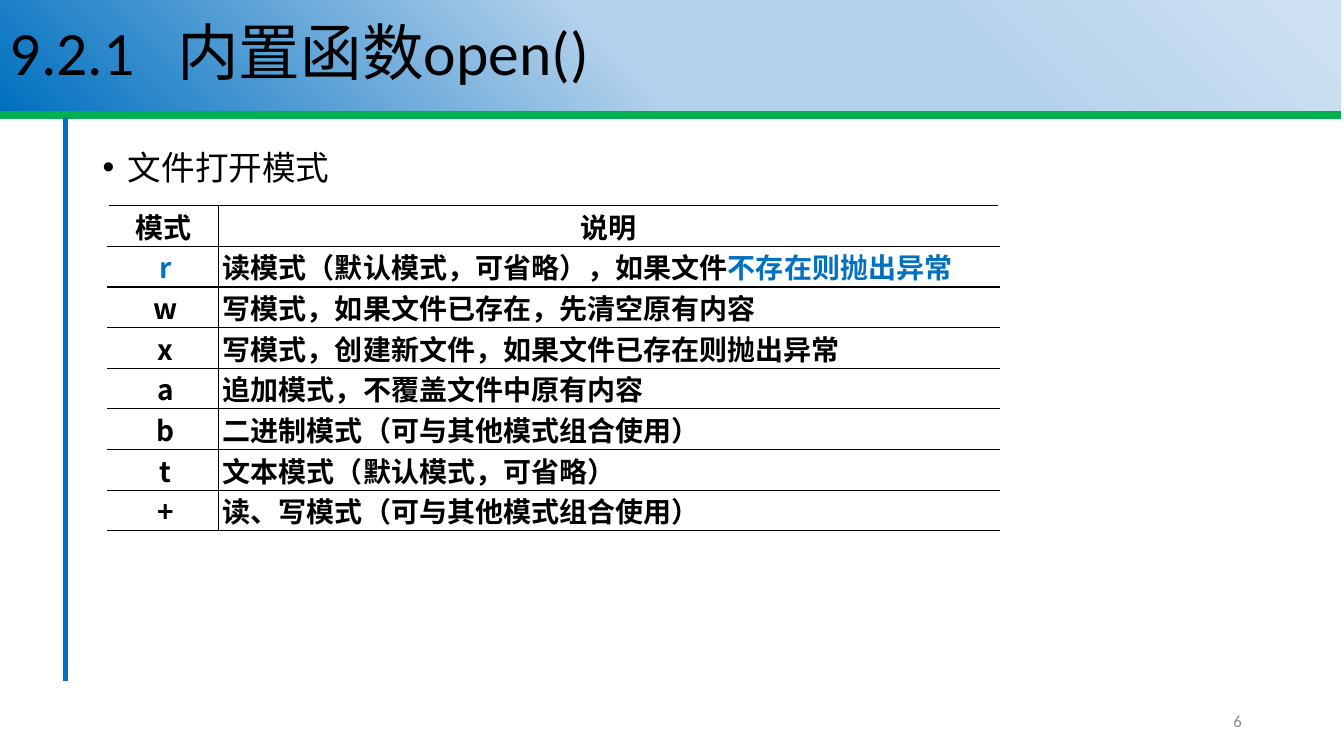
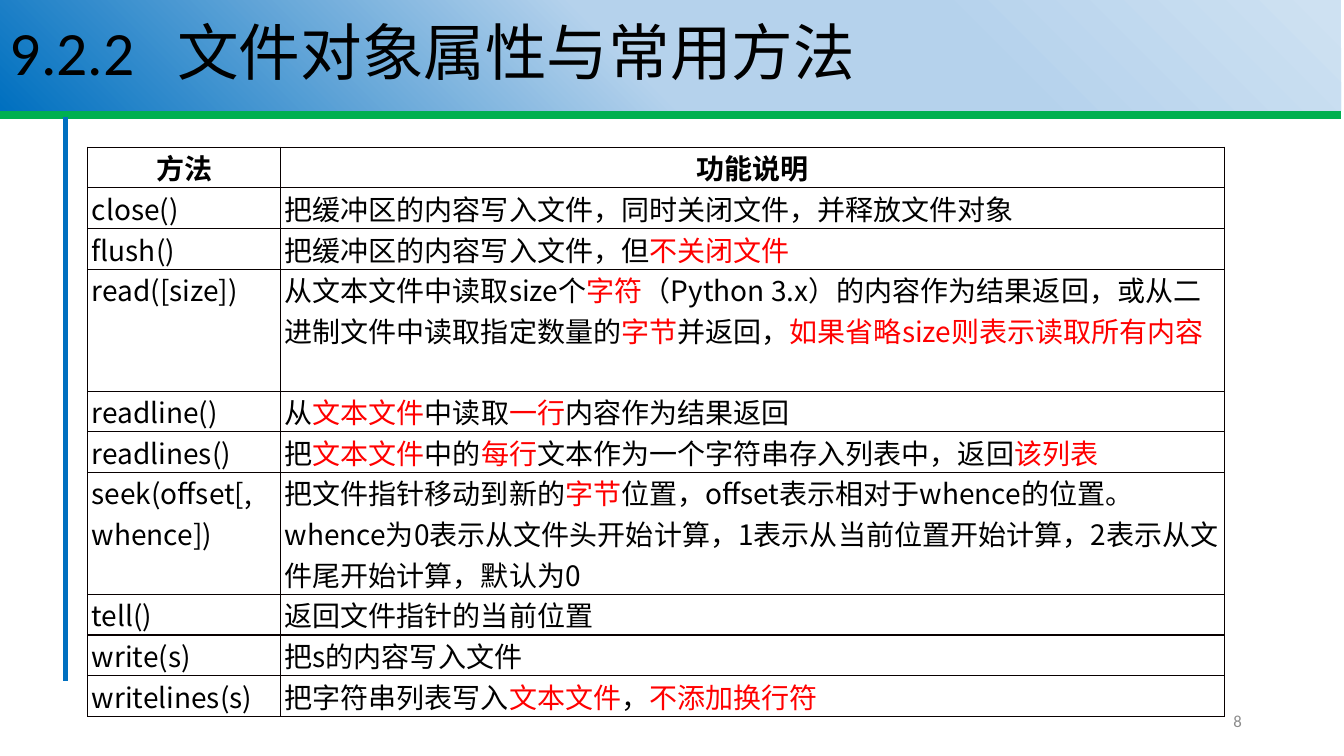
import dataclasses

import lxml.etree
import pptx
import pptx.dml.color
import pptx.enum.shapes
import pptx.enum.text
import pptx.oxml.ns
import pptx.presentation
import pptx.shapes.base
import pptx.slide
import pptx.table
import pptx.text.text
import pptx.util

ALIGN = pptx.enum.text.PP_ALIGN
MIDDLE = pptx.enum.text.MSO_ANCHOR.MIDDLE
SLIDE_WIDTH = pptx.util.Inches(13.33)
SLIDE_HEIGHT = pptx.util.Inches(7.5)


# Theme: colours, fonts and type sizes
@dataclasses.dataclass(frozen=True)
class Theme:
    ink: str = "000000"
    blue: str = "0070C0"
    green: str = "00B050"
    red: str = "FF0000"
    grey: str = "8C8C8C"
    grid: str = "080000"
    band: tuple[tuple[int, str], ...] = (
        (1, "CEE1F2"), (29, "B5D2EC"), (53, "B5D2EC"), (100, "0070C0"))
    font: str = "Calibri"
    table_font: str = "Noto Sans CJK SC"
    title_size: int = 44
    body_size: int = 24
    table_size: int = 20
    number_size: int = 12


THEME = Theme()


# Descriptions of repeated elements; all lengths are percent of the slide
@dataclasses.dataclass(frozen=True)
class Area:
    left: float
    top: float
    width: float
    height: float


@dataclasses.dataclass(frozen=True)
class Rule:
    start: tuple[float, float]
    end: tuple[float, float]
    colour: str
    weight: float


@dataclasses.dataclass(frozen=True)
class Grid:
    """A table; text between asterisks takes the accent colour."""
    left: float
    top: float
    columns: tuple[float, float]
    line_counts: tuple[int, ...]
    rows: tuple[tuple[str, str], ...]
    accent: str
    border: str
    key_align: ALIGN
    bold_body: bool
    outer_sides: bool


@dataclasses.dataclass(frozen=True)
class Page:
    section: str
    title: str
    number: str
    grid: Grid
    bullet: str = ""


TITLE_AREA = Area(0, 0, 99.8, 14.67)
BODY_AREA = Area(6.9, 19.33, 86.25, 67.6)
NUMBER_AREA = Area(70.65, 92.67, 22.5, 5.33)
TITLE_TAB = 12.45
TABLE_LINE = 5.38
RULES = (
    Rule((0, 15.2), (99.8, 15.2), THEME.green, 5.25),
    Rule((4.86, 15.47), (4.86, 90.13), THEME.blue, 3.75),
)


# Helpers for lengths, colours and XML
def across(percent: float) -> int:
    return round(SLIDE_WIDTH * percent / 100)


def down(percent: float) -> int:
    return round(SLIDE_HEIGHT * percent / 100)


def place(area: Area) -> tuple[int, int, int, int]:
    return across(area.left), down(area.top), across(area.width), down(area.height)


def rgb(colour: str) -> pptx.dml.color.RGBColor:
    return pptx.dml.color.RGBColor.from_string(colour)


def add_node(parent: lxml.etree._Element, tag: str, **values: object) -> lxml.etree._Element:
    attributes = {name: str(value) for name, value in values.items()}
    return lxml.etree.SubElement(parent, pptx.oxml.ns.qn(f"a:{tag}"), attributes)


def style(span: pptx.text.text._Run, size: float, colour: str = THEME.ink,
          font: str = THEME.font, bold: bool = False) -> None:
    span.font.size = pptx.util.Pt(size)
    span.font.name = font
    span.font.bold = bold
    span.font.color.rgb = rgb(colour)


# Parts shared by the pages
def draw_rule(slide: pptx.slide.Slide, rule: Rule) -> None:
    line = slide.shapes.add_connector(
        pptx.enum.shapes.MSO_CONNECTOR.STRAIGHT,
        across(rule.start[0]), down(rule.start[1]), across(rule.end[0]), down(rule.end[1]))
    line.line.color.rgb = rgb(rule.colour)
    line.line.width = pptx.util.Pt(rule.weight)
    add_node(line._element.spPr, "effectLst")


def fill_band(band: pptx.shapes.base.BaseShape) -> None:
    band.fill.gradient()
    band.fill.gradient_angle = 225
    stops = band._element.spPr.find(".//" + pptx.oxml.ns.qn("a:gsLst"))
    for stop in list(stops):
        stops.remove(stop)
    for share, colour in THEME.band:
        add_node(add_node(stops, "gs", pos=share * 1000), "srgbClr", val=colour)


def draw_title(slide: pptx.slide.Slide, page: Page) -> None:
    band = slide.shapes.add_shape(
        pptx.enum.shapes.MSO_SHAPE.RECTANGLE, *place(TITLE_AREA))
    band.shadow.inherit = False
    band.line.fill.background()
    fill_band(band)
    frame = band.text_frame
    frame.word_wrap = True
    frame.vertical_anchor = MIDDLE
    frame.text = f"{page.section}\t{page.title}"
    para = frame.paragraphs[0]
    para.alignment = ALIGN.LEFT
    para.line_spacing = 0.9
    tabs = add_node(para._p.get_or_add_pPr(), "tabLst")
    add_node(tabs, "tab", pos=across(TITLE_TAB), algn="l")
    for span in para.runs:
        style(span, THEME.title_size)


def add_text(slide: pptx.slide.Slide, area: Area, text: str, size: float,
             colour: str) -> pptx.text.text.TextFrame:
    frame = slide.shapes.add_textbox(*place(area)).text_frame
    frame.word_wrap = True
    frame.text = text
    style(frame.paragraphs[0].runs[0], size, colour)
    return frame


def draw_number(slide: pptx.slide.Slide, number: str) -> None:
    frame = add_text(slide, NUMBER_AREA, number, THEME.number_size, THEME.grey)
    frame.vertical_anchor = MIDDLE
    frame.paragraphs[0].alignment = ALIGN.RIGHT


def draw_bullet(slide: pptx.slide.Slide, text: str) -> None:
    para = add_text(slide, BODY_AREA, text, THEME.body_size, THEME.ink).paragraphs[0]
    para.line_spacing = 0.9
    para.space_before = pptx.util.Pt(10)
    properties = para._p.get_or_add_pPr()
    indent = pptx.util.Inches(0.25)
    properties.set("marL", str(indent))
    properties.set("indent", str(-indent))
    add_node(properties, "buFont", typeface="Arial")
    add_node(properties, "buChar", char="•")


# Tables
def draw_borders(cell: pptx.table._Cell, sides: str, colour: str) -> None:
    properties = cell._tc.get_or_add_tcPr()
    for side in sides:
        line = add_node(properties, f"ln{side}", w=pptx.util.Pt(1))
        add_node(add_node(line, "solidFill"), "srgbClr", val=colour)


def write_cell(cell: pptx.table._Cell, text: str, grid: Grid, header: bool, key: bool) -> None:
    cell.margin_top = cell.margin_right = cell.margin_bottom = 0
    cell.margin_left = 0 if header else pptx.util.Inches(0.04)
    para = cell.text_frame.paragraphs[0]
    para.alignment = ALIGN.CENTER if header else grid.key_align if key else ALIGN.LEFT
    for index, part in enumerate(text.split("*")):
        if part:
            span = para.add_run()
            span.text = part
            style(span, THEME.table_size, grid.accent if index % 2 else THEME.ink,
                  THEME.table_font, header or grid.bold_body)
            add_node(span.font._element, "ea", typeface=THEME.table_font)


def draw_grid(slide: pptx.slide.Slide, grid: Grid) -> None:
    area = Area(grid.left, grid.top, sum(grid.columns), TABLE_LINE * sum(grid.line_counts))
    table = slide.shapes.add_table(len(grid.rows), len(grid.columns), *place(area)).table
    table.first_row = table.horz_banding = False
    for column, width in zip(table.columns, grid.columns):
        column.width = across(width)
    for row, line_count in zip(table.rows, grid.line_counts):
        row.height = down(TABLE_LINE * line_count)
    for row_index, texts in enumerate(grid.rows):
        for column_index, text in enumerate(texts):
            cell = table.cell(row_index, column_index)
            key = column_index == 0
            inner_sides = "RTB" if key else "LTB"
            draw_borders(cell, "LRTB" if grid.outer_sides else inner_sides, grid.border)
            cell.fill.background()
            write_cell(cell, text, grid, row_index == 0, key)


def draw_page(deck: pptx.presentation.Presentation, page: Page) -> None:
    slide = deck.slides.add_slide(deck.slide_layouts[6])
    for rule in RULES:
        draw_rule(slide, rule)
    draw_title(slide, page)
    if page.bullet:
        draw_bullet(slide, page.bullet)
    draw_number(slide, page.number)
    draw_grid(slide, page.grid)


# Content
OPEN_MODES = Grid(
    left=8.03, top=27.2, columns=(8.25, 58.05), line_counts=(1,) * 8,
    rows=(
        ("模式", "说明"),
        ("*r*", "读模式（默认模式，可省略），如果文件*不存在则抛出异常*"),
        ("w", "写模式，如果文件已存在，先清空原有内容"),
        ("x", "写模式，创建新文件，如果文件已存在则抛出异常"),
        ("a", "追加模式，不覆盖文件中原有内容"),
        ("b", "二进制模式（可与其他模式组合使用）"),
        ("t", "文本模式（默认模式，可省略）"),
        ("+", "读、写模式（可与其他模式组合使用）"),
    ),
    accent=THEME.blue, border=THEME.ink, key_align=ALIGN.CENTER,
    bold_body=True, outer_sides=False)

FILE_METHODS = Grid(
    left=6.53, top=19.47, columns=(14.35, 70.22),
    line_counts=(1, 1, 1, 3, 1, 1, 3, 1, 1, 1),
    rows=(
        ("方法", "功能说明"),
        ("close()", "把缓冲区的内容写入文件，同时关闭文件，并释放文件对象"),
        ("flush()", "把缓冲区的内容写入文件，但*不关闭文件*"),
        ("read([size])", "从文本文件中读取size个*字符*（Python 3.x）的内容作为结果返回，"
         "或从二进制文件中读取指定数量的*字节*并返回，*如果省略size则表示读取所有内容*"),
        ("readline()", "从*文本文件*中读取*一行*内容作为结果返回"),
        ("readlines()", "把*文本文件*中的*每行*文本作为一个字符串存入列表中，返回*该列表*"),
        ("seek(offset[, whence])", "把文件指针移动到新的*字节*位置，offset表示相对于whence的位置。"
         "whence为0表示从文件头开始计算，1表示从当前位置开始计算，2表示从文件尾开始计算，默认为0"),
        ("tell()", "返回文件指针的当前位置"),
        ("write(s)", "把s的内容写入文件"),
        ("writelines(s)", "把字符串列表写入*文本文件*，*不添加换行符*"),
    ),
    accent=THEME.red, border=THEME.grid, key_align=ALIGN.LEFT,
    bold_body=False, outer_sides=True)

PAGES = (
    Page("9.2.1", "内置函数open()", "6", OPEN_MODES, bullet="文件打开模式"),
    Page("9.2.2", "文件对象属性与常用方法", "8", FILE_METHODS),
)

# Build the deck
deck = pptx.Presentation()
deck.slide_width, deck.slide_height = SLIDE_WIDTH, SLIDE_HEIGHT
for page in PAGES:
    draw_page(deck, page)
deck.save("out.pptx")
